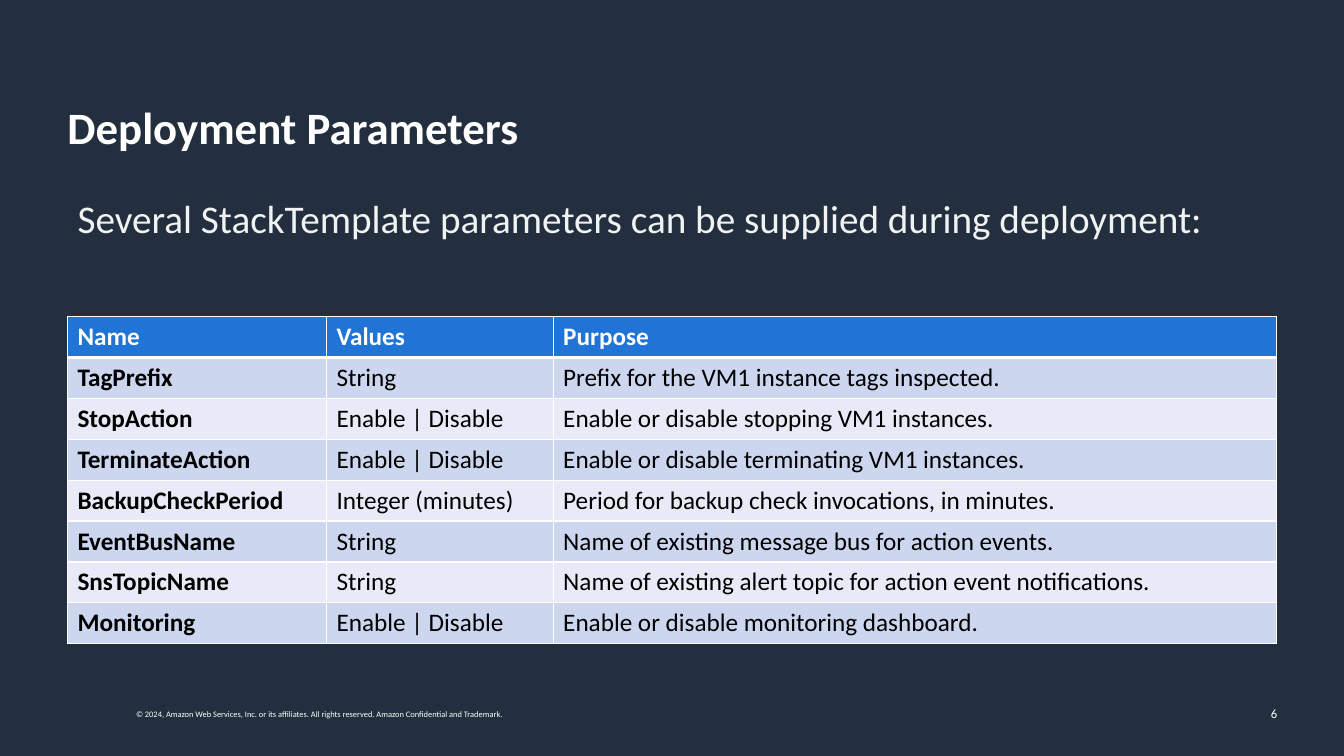
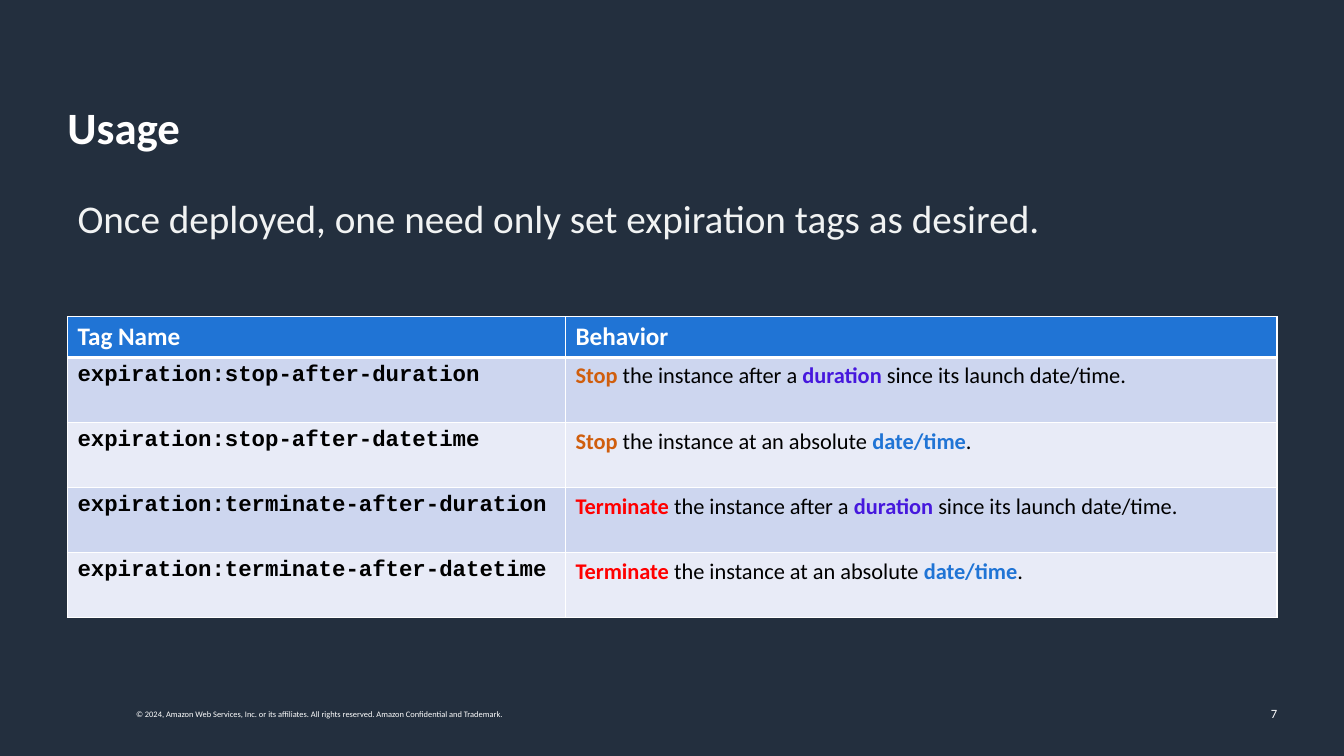
import lxml.etree
import pptx
import pptx.dml.color
import pptx.enum.text
import pptx.oxml.ns
import pptx.util

Cm = pptx.util.Cm
Pt = pptx.util.Pt
qn = pptx.oxml.ns.qn
ALIGN = pptx.enum.text.PP_ALIGN
ANCHOR = pptx.enum.text.MSO_ANCHOR
AUTO_SIZE = pptx.enum.text.MSO_AUTO_SIZE

COLORS = {
    "navy": "232F3E",
    "white": "FFFFFF",
    "mist": "F1F3F3",
    "black": "000000",
    "blue": "2074D5",
    "band_dark": "CDD6EF",
    "band_light": "E8EBF7",
    "orange": "D05E0D",
    "red": "FF0000",
    "violet": "4618DD",
}

BOXES = {
    "slide": (0, 0, 33.87, 19.05),
    "title": (1.7, 2.54, 30.48, 1.5),
    "body": (1.7, 4.78, 30.48, 12.32),
    "table": (1.7, 7.98, 30.48),
    "copyright": (3.18, 17.75, 10.95, 0.51),
    "number": (24.82, 17.48, 7.62, 1.02),
}

FORMATS = {
    "title": {"name": "Calibri", "size": Pt(32), "bold": True},
    "body": {"name": "Calibri", "size": Pt(28), "bold": False},
    "copyright": {"name": "Calibri", "size": Pt(6)},
    "number": {"name": "Calibri", "size": Pt(9)},
    "head": {"name": "Calibri", "size": Pt(18), "bold": True},
    "name": {"name": "Calibri", "size": Pt(18), "bold": True},
    "cell": {"name": "Calibri", "size": Pt(18), "bold": False},
    "code": {"name": "Courier New", "size": Pt(16), "bold": True},
    "prose": {"name": "Calibri", "size": Pt(16), "bold": False},
    "keyword": {"name": "Calibri", "size": Pt(16), "bold": True},
}

COPYRIGHT = (
    "© 2024, Amazon Web Services, Inc. or its affiliates. "
    "All rights reserved. Amazon Confidential and Trademark."
)

PARAMETERS = [
    ("TagPrefix", "String", "Prefix for the VM1 instance tags inspected."),
    ("StopAction", "Enable | Disable", "Enable or disable stopping VM1 instances."),
    ("TerminateAction", "Enable | Disable", "Enable or disable terminating VM1 instances."),
    ("BackupCheckPeriod", "Integer (minutes)", "Period for backup check invocations, in minutes."),
    ("EventBusName", "String", "Name of existing message bus for action events."),
    ("SnsTopicName", "String", "Name of existing alert topic for action event notifications."),
    ("Monitoring", "Enable | Disable", "Enable or disable monitoring dashboard."),
]

ACTIONS = {"Stop": "orange", "Terminate": "red"}
TIMINGS = {
    "duration": (" the instance after a ", "violet", " since its launch date/time."),
    "date/time": (" the instance at an absolute ", "blue", "."),
}


def rgb(color):
    return pptx.dml.color.RGBColor.from_string(COLORS[color])


def set_all(obj, values):
    for key, value in values.items():
        setattr(obj, key, value)


def add_run(p, text, style, color):
    r = p.add_run()
    r.text = text
    set_all(r.font, FORMATS[style])
    r.font.color.rgb = rgb(color)


def place(sp, box):
    set_all(sp, dict(zip(("left", "top", "width", "height"), map(Cm, box))))


def fill_text(sp, text, style, color, frame, para):
    set_all(sp.text_frame, {"word_wrap": True, "auto_size": AUTO_SIZE.NONE, **frame})
    p = sp.text_frame.paragraphs[0]
    set_all(p, para)
    add_run(p, text, style, color)
    return p


def add_title(slide, text, box):
    sp = slide.shapes.title
    place(sp, box)
    frame = {"margin_left": 0, "margin_right": 0, "vertical_anchor": ANCHOR.TOP}
    fill_text(sp, text, "title", "white", frame,
              {"alignment": ALIGN.LEFT, "line_spacing": 0.9})


def add_body(slide, text, box):
    sp = slide.placeholders[1]
    place(sp, box)
    p = fill_text(sp, text, "body", "mist", {"vertical_anchor": ANCHOR.TOP},
                  {"space_before": Pt(0), "space_after": Pt(12)})
    pPr = p._p.get_or_add_pPr()
    pPr.set("marL", "0")
    pPr.set("indent", "0")
    lxml.etree.SubElement(pPr, qn("a:buNone"))


def add_footer(slide, number):
    parts = [
        ("copyright", COPYRIGHT, ANCHOR.TOP, ALIGN.LEFT),
        ("number", str(number), ANCHOR.MIDDLE, ALIGN.RIGHT),
    ]
    for part, text, anchor, align in parts:
        sp = slide.shapes.add_textbox(*map(Cm, BOXES[part]))
        fill_text(sp, text, part, "white", {"vertical_anchor": anchor}, {"alignment": align})


def add_borders(cell, row):
    tcPr = cell._tc.get_or_add_tcPr()
    widths = {"L": 1, "R": 1, "T": 3 if row == 1 else 1, "B": 3 if row == 0 else 1}
    for side, width in widths.items():
        ln = lxml.etree.SubElement(tcPr, qn(f"a:ln{side}"), w=str(Pt(width)))
        fill = lxml.etree.SubElement(ln, qn("a:solidFill"))
        lxml.etree.SubElement(fill, qn("a:srgbClr"), val=COLORS["white"])


def add_table(slide, box, widths, row_height, rows):
    left, top, width = box
    head_height = 1.03
    height = head_height + row_height * (len(rows) - 1)
    table = slide.shapes.add_table(
        len(rows), len(widths), Cm(left), Cm(top), Cm(width), Cm(height)
    ).table
    for column, column_width in zip(table.columns, widths):
        column.width = Cm(column_width)
    for i, row in enumerate(rows):
        table.rows[i].height = Cm(row_height if i else head_height)
        band = ("band_dark" if i % 2 else "band_light") if i else "blue"
        for j, runs in enumerate(row):
            cell = table.cell(i, j)
            add_borders(cell, i)
            cell.fill.solid()
            cell.fill.fore_color.rgb = rgb(band)
            for run in runs:
                add_run(cell.text_frame.paragraphs[0], *run)


def header(*labels):
    return [[(label, "head", "white")] for label in labels]


def parameter_rows():
    styles = ("name", "cell", "cell")
    return [header("Name", "Values", "Purpose")] + [
        [[(text, style, "black")] for text, style in zip(row, styles)]
        for row in PARAMETERS
    ]


def usage_rows():
    rows = [header("Tag Name", "Behavior")]
    for action, action_color in ACTIONS.items():
        for timing, (middle, timing_color, ending) in TIMINGS.items():
            tag = f"expiration:{action.lower()}-after-{timing.replace('/', '')}"
            rows.append([
                [(tag, "code", "black")],
                [
                    (action, "keyword", action_color),
                    (middle, "prose", "black"),
                    (timing, "keyword", timing_color),
                    (ending, "prose", "black"),
                ],
            ])
    return rows


def add_table_slide(prs, number, title, intro, widths, row_height, rows):
    slide = prs.slides.add_slide(prs.slide_layouts[1])
    add_title(slide, title, BOXES["title"])
    add_body(slide, intro, BOXES["body"])
    add_table(slide, BOXES["table"], widths, row_height, rows)
    add_footer(slide, number)


def main():
    prs = pptx.Presentation()
    prs.slide_width, prs.slide_height = map(Cm, BOXES["slide"][2:])
    background = prs.slide_master.background.fill
    background.solid()
    background.fore_color.rgb = rgb("navy")
    add_table_slide(
        prs, 6, "Deployment Parameters",
        "Several StackTemplate parameters can be supplied during deployment:",
        (6.53, 5.71, 18.24), 1.03, parameter_rows(),
    )
    add_table_slide(
        prs, 7, "Usage",
        "Once deployed, one need only set expiration tags as desired.",
        (12.55, 17.93), 1.64, usage_rows(),
    )
    prs.save("out.pptx")


if __name__ == "__main__":
    main()
